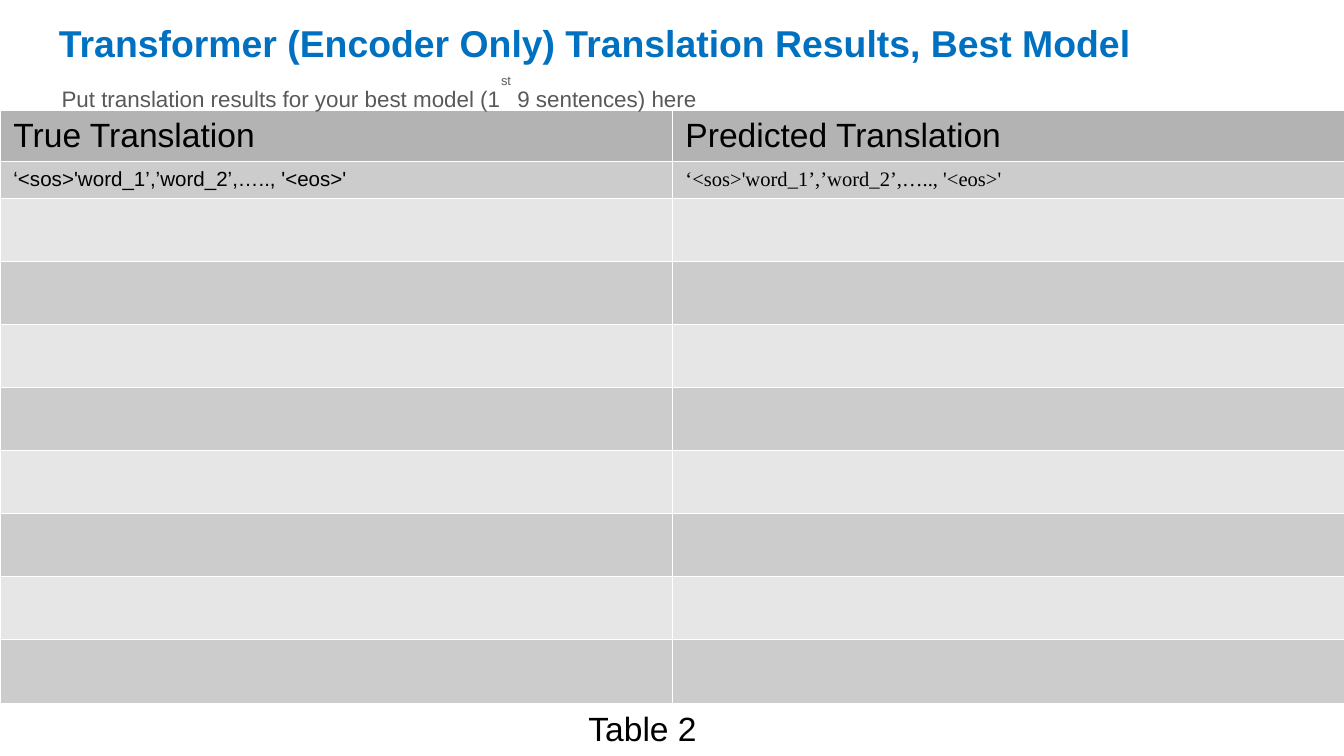
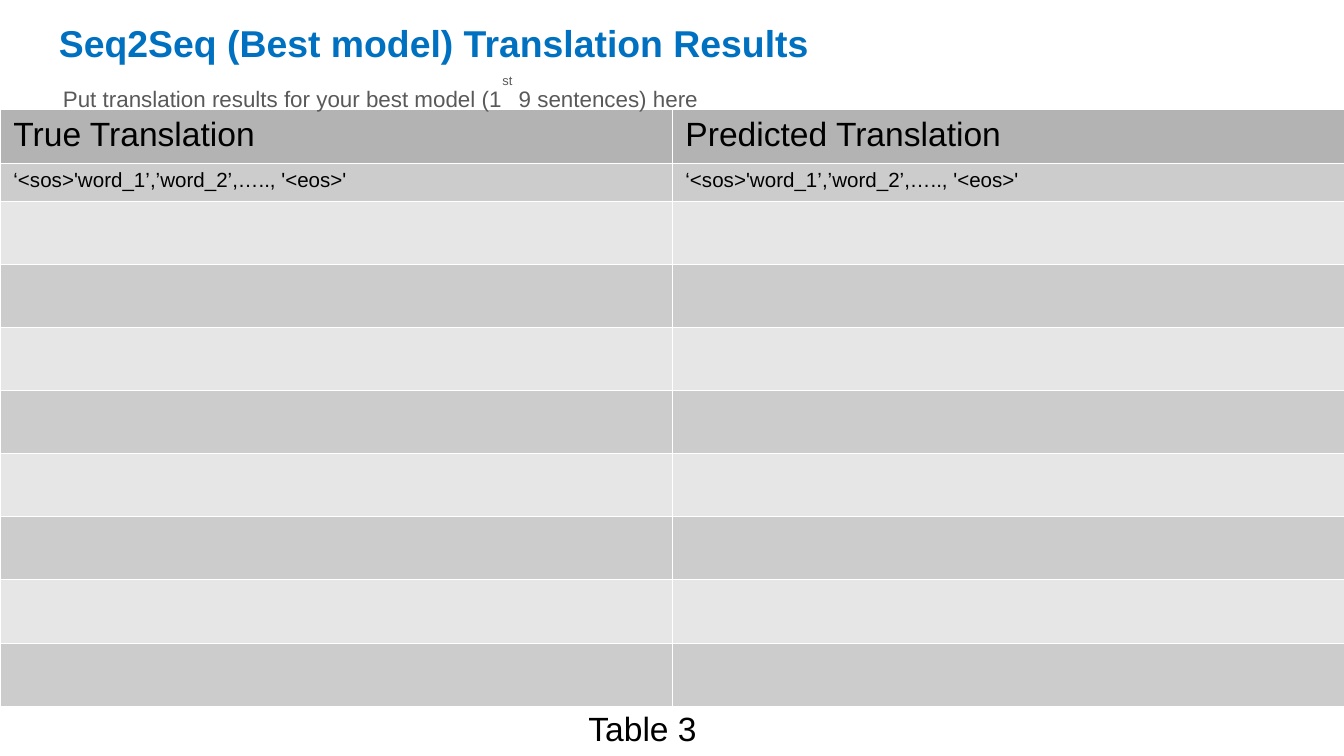
import dataclasses

import pptx
import pptx.dml.color
import pptx.oxml
import pptx.oxml.ns
import pptx.util
from pptx.util import Inches

TITLE = {"name": "Arial", "size": pptx.util.Pt(20), "bold": True}
BODY = {"name": "Arial", "size": pptx.util.Pt(18)}
NOTE = {"name": "Arial", "size": pptx.util.Pt(12)}
SAMPLE = {"name": "Arial", "size": pptx.util.Pt(11)}
BLUE, GREY, BLACK, WHITE = "0070C0", "595959", "000000", "FFFFFF"
HEADER, DARK, LIGHT = "B3B3B3", "CCCCCC", "E6E6E6"
HEADINGS = ("True Translation", "Predicted Translation")
SENTENCE = "‘<sos>'word_1’,’word_2’,….., '<eos>'"
ROW_HEIGHTS = [0.38, 0.27] + [0.47] * 8
TABLE_HEIGHT = 4.43


@dataclasses.dataclass
class ResultSlide:
    """Content and small placement differences of one results slide."""
    title: str
    caption: str
    table_top: float
    note_left: float
    note_width: float
    predicted_font: str


RESULTS = [
    ResultSlide("Transformer (Encoder Only) Translation Results, Best Model",
                "Table 2", 0.82, 0.36, 8, "Times New Roman"),
    ResultSlide("Seq2Seq (Best model) Translation Results",
                "Table 3", 0.81, 0.37, 7.96, "Arial"),
]


def rgb(color: str) -> pptx.dml.color.RGBColor:
    """Turn a hex string into a colour."""
    return pptx.dml.color.RGBColor.from_string(color)


def add_run(p, text: str, style: dict, color: str):
    """Append a styled run to a paragraph."""
    r = p.add_run()
    r.text = text
    for name, value in style.items():
        setattr(r.font, name, value)
    r.font.color.rgb = rgb(color)
    return r


def add_box(s, left: float, top: float, width: float, height: float,
            inset: float = 0.05):
    """Add a wrapping text box and return its first paragraph."""
    tf = s.shapes.add_textbox(Inches(left), Inches(top),
                              Inches(width), Inches(height)).text_frame
    layout = {"word_wrap": True, "margin_top": Inches(inset),
              "margin_bottom": Inches(inset)}
    for name, value in layout.items():
        setattr(tf, name, value)
    return tf.paragraphs[0]


def style_cell(cell, fill: str) -> None:
    """Give a cell thin white borders and a solid fill."""
    tc_pr = cell._tc.get_or_add_tcPr()
    for side in ("lnL", "lnR", "lnT", "lnB"):
        tc_pr.append(pptx.oxml.parse_xml(
            f'<a:{side} {pptx.oxml.ns.nsdecls("a")} w="762"><a:solidFill>'
            f'<a:srgbClr val="{WHITE}"/></a:solidFill></a:{side}>'))
    cell.fill.solid()
    cell.fill.fore_color.rgb = rgb(fill)


def add_results_table(s, top: float, predicted_font: str) -> None:
    """Add the two-column table of true and predicted sentences."""
    frame = s.shapes.add_table(len(ROW_HEIGHTS), len(HEADINGS), Inches(0),
                               Inches(top), Inches(10), Inches(TABLE_HEIGHT))
    table = frame.table
    table.first_row = table.horz_banding = False
    for i, height in enumerate(ROW_HEIGHTS):
        table.rows[i].height = Inches(height)
        fill = HEADER if i == 0 else DARK if i % 2 else LIGHT
        for cell in table.rows[i].cells:
            style_cell(cell, fill)
    frame.height = Inches(TABLE_HEIGHT)
    for j, (heading, font) in enumerate(zip(HEADINGS, ("Arial", predicted_font))):
        add_run(table.cell(0, j).text_frame.paragraphs[0], heading, BODY, BLACK)
        add_run(table.cell(1, j).text_frame.paragraphs[0], SENTENCE,
                {**SAMPLE, "name": font}, BLACK)


def add_note(s, left: float, width: float) -> None:
    """Add the instruction line with its raised ordinal."""
    p = add_box(s, left, 0.49, width, 0.66)
    add_run(p, "Put translation results for your best model (1", NOTE, GREY)
    r = add_run(p, "st", NOTE, GREY)
    r.font._element.set("baseline", "101000")
    add_run(p, " 9 sentences) here", NOTE, GREY)


def build_slide(prs, result: ResultSlide) -> None:
    """Build one results slide."""
    s = prs.slides.add_slide(prs.slide_layouts[6])
    add_results_table(s, result.table_top, result.predicted_font)
    add_run(add_box(s, 4.28, 5.22, 1.1, 0.4), result.caption, BODY, BLACK)
    add_run(add_box(s, 0.34, 0.05, 9.32, 0.62, 0.1), result.title, TITLE, BLUE)
    add_note(s, result.note_left, result.note_width)


def main() -> None:
    """Create and save the presentation."""
    prs = pptx.Presentation()
    prs.slide_width = Inches(10)
    prs.slide_height = prs.slide_width * 9 // 16
    for result in RESULTS:
        build_slide(prs, result)
    prs.save("out.pptx")


if __name__ == "__main__":
    main()
